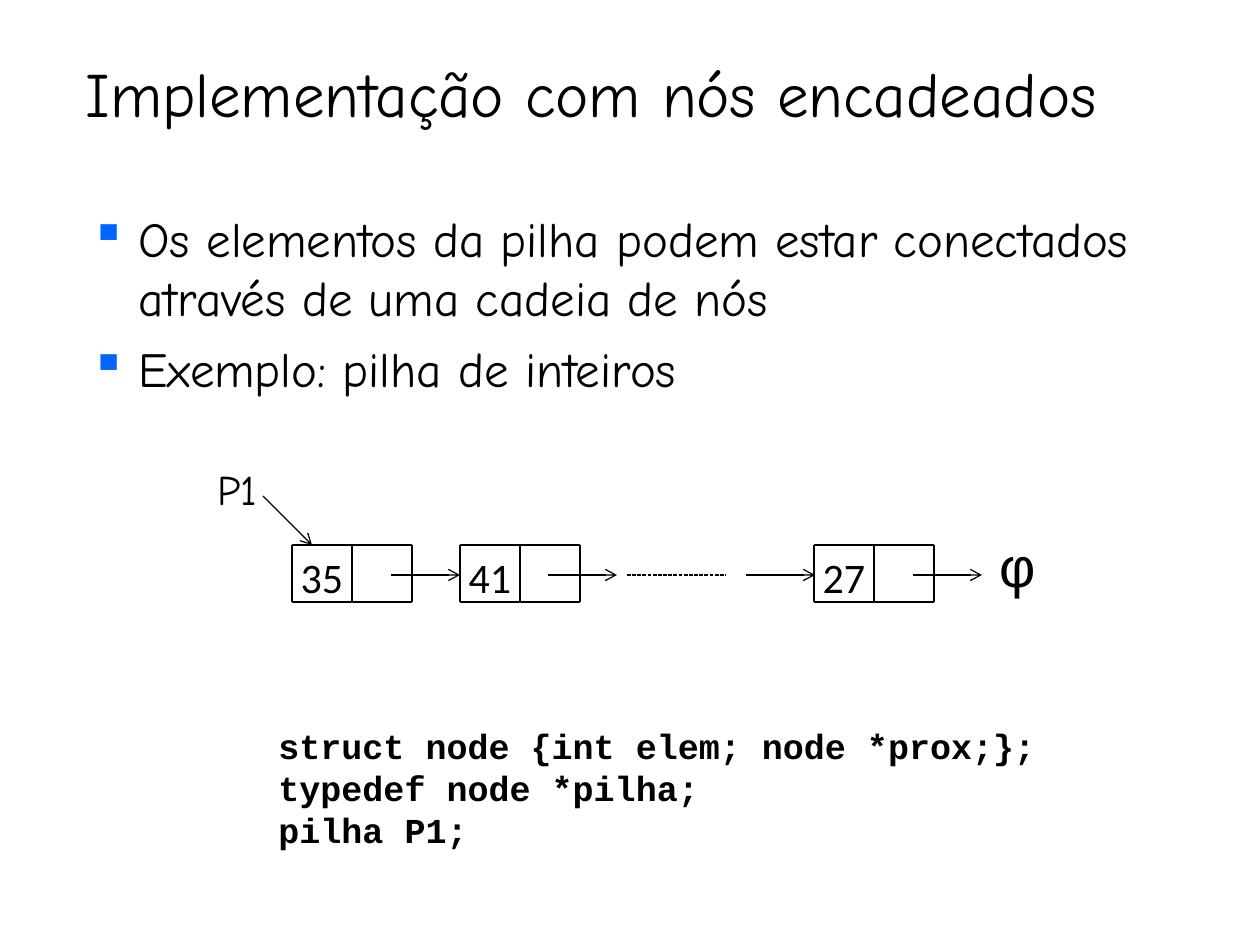
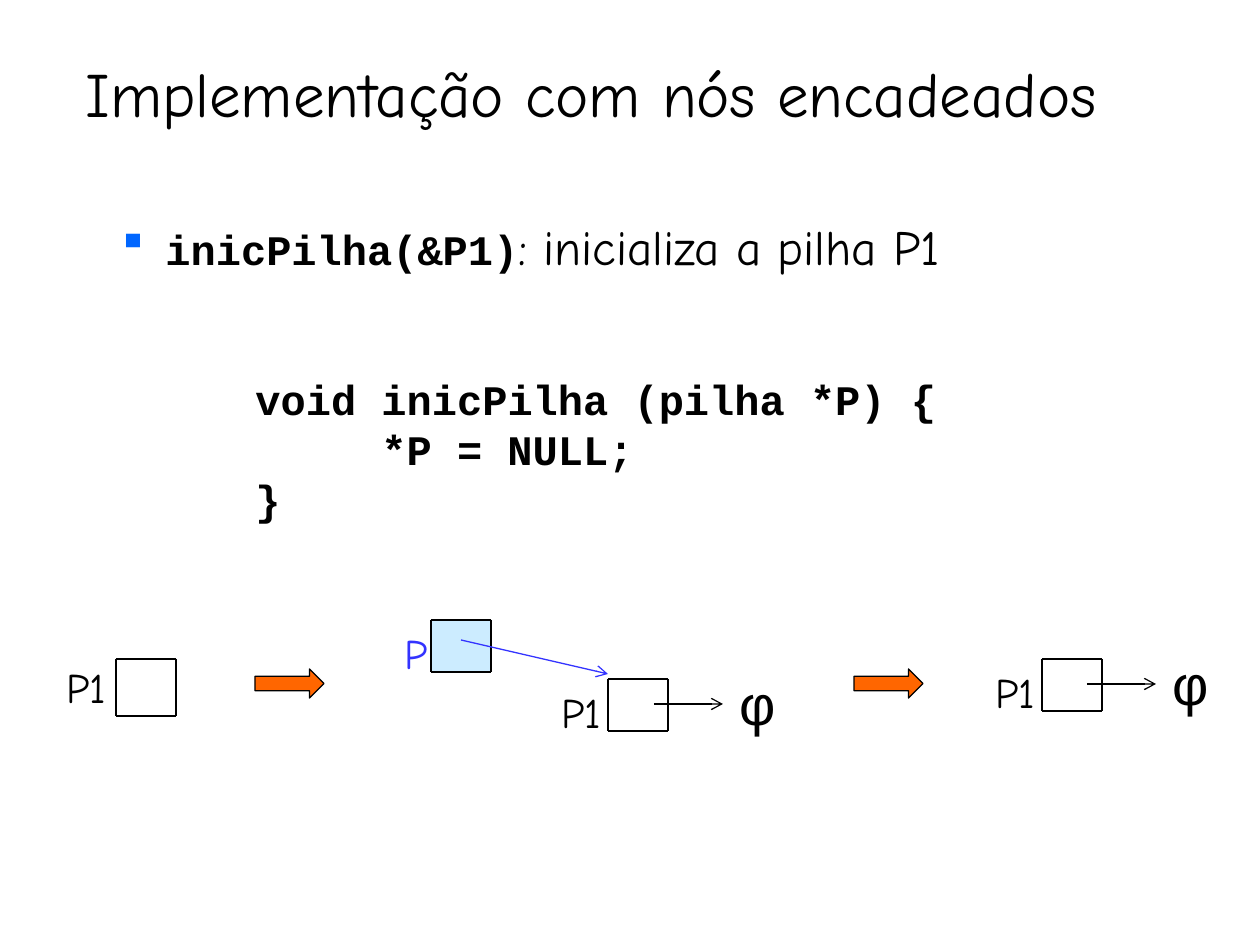
from dataclasses import dataclass

from lxml import etree
from pptx import Presentation
from pptx import util as u
from pptx.dml.color import RGBColor
from pptx.enum import dml, shapes, text
from pptx.oxml.ns import qn

PX = 914400 / 126  # EMU in one px


@dataclass(frozen=True)
class Theme:
    ink: str = "000000"
    paper: str = "FFFFFF"
    bullet: str = "0066FF"
    pointer: str = "3333FF"
    pointer_fill: str = "CCECFF"
    step: str = "FF6600"
    body_font: str = "Comic Neue"
    code_font: str = "Courier New"
    value_font: str = "Calibri"
    symbol_font: str = "Arial"
    title_size: int = 36
    body_size: int = 28
    label_size: int = 24
    code_size: int = 20
    null_size: int = 32
    edge: float = 1
    thin: float = 0.75


THEME = Theme()


def px(*lengths):
    return [u.Emu(round(length * PX)) for length in lengths]


def rgb(color):
    return RGBColor.from_string(color)


def add_xml(parent, tag, **attributes):
    return etree.SubElement(parent, qn(tag), attributes)


def add_text(paragraph, content, font=THEME.body_font, size=THEME.label_size,
             color=THEME.ink, bold=False):
    run = paragraph.add_run()
    run.text = content
    run.font.name = font
    run.font.size = u.Pt(size)
    run.font.bold = bold
    run.font.color.rgb = rgb(color)


class Deck:
    def __init__(self, theme):
        self.theme = theme
        self.show = Presentation()
        self.show.slide_width, self.show.slide_height = px(1260, 945)
        self.slide = None

    def new_slide(self, title):
        self.slide = self.show.slides.add_slide(self.show.slide_layouts[6])
        frame = self.frame(73, 42, 1097, 94)
        frame.vertical_anchor = text.MSO_ANCHOR.BOTTOM
        add_text(frame.paragraphs[0], title, size=self.theme.title_size)

    def frame(self, x, y, w, h):
        frame = self.slide.shapes.add_textbox(*px(x, y, w, h)).text_frame
        frame.word_wrap = True
        return frame

    def label(self, content, x, y, w=67, h=63, **style):
        add_text(self.frame(x, y, w, h).paragraphs[0], content, **style)

    def null(self, x, y):
        self.label("φ", x, y, 56, 81, font=self.theme.symbol_font,
                   size=self.theme.null_size)

    def bullets(self, x, y, w, h, items):
        """Each item is a list of (content, style) runs."""
        frame = self.frame(x, y, w, h)
        for index, runs in enumerate(items):
            paragraph = frame.add_paragraph() if index else frame.paragraphs[0]
            if index:
                paragraph.space_before = u.Pt(7)
            properties = paragraph._p.get_or_add_pPr()
            indent = px(48)[0]
            properties.set("marL", str(indent))
            properties.set("indent", str(-indent))
            color = add_xml(properties, "a:buClr")
            add_xml(color, "a:srgbClr", val=self.theme.bullet)
            add_xml(properties, "a:buChar", char="▪")
            for content, style in runs:
                add_text(paragraph, content, **style)

    def code(self, x, y, h, lines, size):
        frame = self.frame(x, y, 788, h)
        for index, line in enumerate(lines):
            paragraph = frame.add_paragraph() if index else frame.paragraphs[0]
            if "\t" in line:
                tabs = add_xml(paragraph._p.get_or_add_pPr(), "a:tabLst")
                add_xml(tabs, "a:tab", pos=str(u.Inches(1)), algn="l")
            add_text(paragraph, line, font=self.theme.code_font, size=size, bold=True)

    def shape(self, kind, x, y, w, h, fill, outline=None):
        shape = self.slide.shapes.add_shape(kind, *px(x, y, w, h))
        shape.shadow.inherit = False
        shape.fill.solid()
        shape.fill.fore_color.rgb = rgb(fill)
        if outline:
            shape.line.color.rgb = rgb(outline)
            shape.line.width = u.Pt(self.theme.thin)
        else:
            shape.line.fill.background()
        return shape

    def line(self, x1, y1, x2, y2, color=None, width=None, arrow=False, dash=None):
        line = self.slide.shapes.add_connector(
            shapes.MSO_CONNECTOR.STRAIGHT, *px(x1, y1, x2, y2))
        line.line.color.rgb = rgb(color or self.theme.ink)
        line.line.width = u.Pt(width or self.theme.thin)
        if dash:
            line.line.dash_style = dash
        if arrow:
            add_xml(line.line._get_or_add_ln(), "a:tailEnd", type="arrow")
        add_xml(line._element.spPr, "a:effectLst")

    def link(self, x, y):
        self.line(x, y, x + 69, y, arrow=True)

    def box(self, x, y, h, cells=1, fill=None, value=None):
        """A row of 60 px cells, with the value in the first one."""
        w = 60
        right, bottom = x + cells * w, y + h
        for index in range(cells if fill else 0):
            cell = self.shape(shapes.MSO_SHAPE.RECTANGLE, x + index * w, y, w, h, fill)
            if value and index == 0:
                frame = cell.text_frame
                frame.margin_left = frame.margin_right = frame.margin_top = px(1)[0]
                frame.margin_bottom = 0
                frame.vertical_anchor = text.MSO_ANCHOR.BOTTOM
                paragraph = frame.paragraphs[0]
                paragraph.alignment = text.PP_ALIGN.CENTER
                add_text(paragraph, value, font=self.theme.value_font)
        for edge_x in range(x, right + 1, w):
            self.line(edge_x, y, edge_x, bottom, width=self.theme.edge)
        for edge_y in (y, bottom):
            self.line(x, edge_y, right, edge_y, width=self.theme.edge)

    def step(self, x):
        self.shape(shapes.MSO_SHAPE.RIGHT_ARROW, x, 669, 69, 29,
                   self.theme.step, self.theme.ink)


def linked_nodes(deck, title):
    theme = deck.theme
    deck.new_slide(title)
    body = dict(size=theme.body_size)
    deck.bullets(78, 202, 1155, 236, [
        [("Os elementos da pilha podem estar conectados através de uma cadeia de nós", body)],
        [("Exemplo: pilha de inteiros", body)],
    ])
    deck.code(266, 718, 139, ["struct node {int elem; node *prox;};",
                              "typedef node *pilha;", "pilha P1;"], theme.code_size)

    # Chain of nodes
    for x, value in ((292, "35"), (460, "41"), (814, "27")):
        deck.box(x, 545, 57, cells=2, fill=theme.paper, value=value)
    for x in (391, 548, 746, 913):
        deck.link(x, 575)
    deck.line(627, 575, 726, 575, dash=dml.MSO_LINE.SQUARE_DOT)
    deck.null(987, 525)

    # Pointer to the top
    deck.line(263, 496, 312, 545, arrow=True)
    deck.label("P1", 205, 457, 86)


def empty_stack(deck, title):
    theme = deck.theme
    deck.new_slide(title)
    deck.bullets(105, 210, 1155, 116, [[
        ("inicPilha(&P1)", dict(font=theme.code_font, bold=True)),
        (": inicializa a pilha P1", dict(size=theme.body_size)),
    ]])
    deck.code(243, 367, 164, ["void inicPilha (pilha *P) {", "\t*P = NULL;", "}"],
              theme.label_size)

    # Before the call
    deck.box(116, 659, 57)
    deck.label("P1", 54, 655)
    deck.step(255)

    # During the call
    deck.null(727, 663)
    deck.label("P", 392, 621, 48, color=theme.pointer)
    deck.box(431, 620, 52, fill=theme.pointer_fill)
    deck.label("P1", 549, 680)
    deck.box(608, 679, 52, fill=theme.paper)
    deck.line(461, 640, 608, 674, color=theme.pointer, arrow=True)
    deck.link(654, 704)
    deck.step(854)

    # After the call
    deck.null(1160, 643)
    deck.label("P1", 983, 660)
    deck.box(1042, 659, 52, fill=theme.paper)
    deck.link(1087, 684)


def main():
    deck = Deck(THEME)
    title = "Implementação com nós encadeados"
    linked_nodes(deck, title)
    empty_stack(deck, title)
    deck.show.save("out.pptx")


if __name__ == "__main__":
    main()
